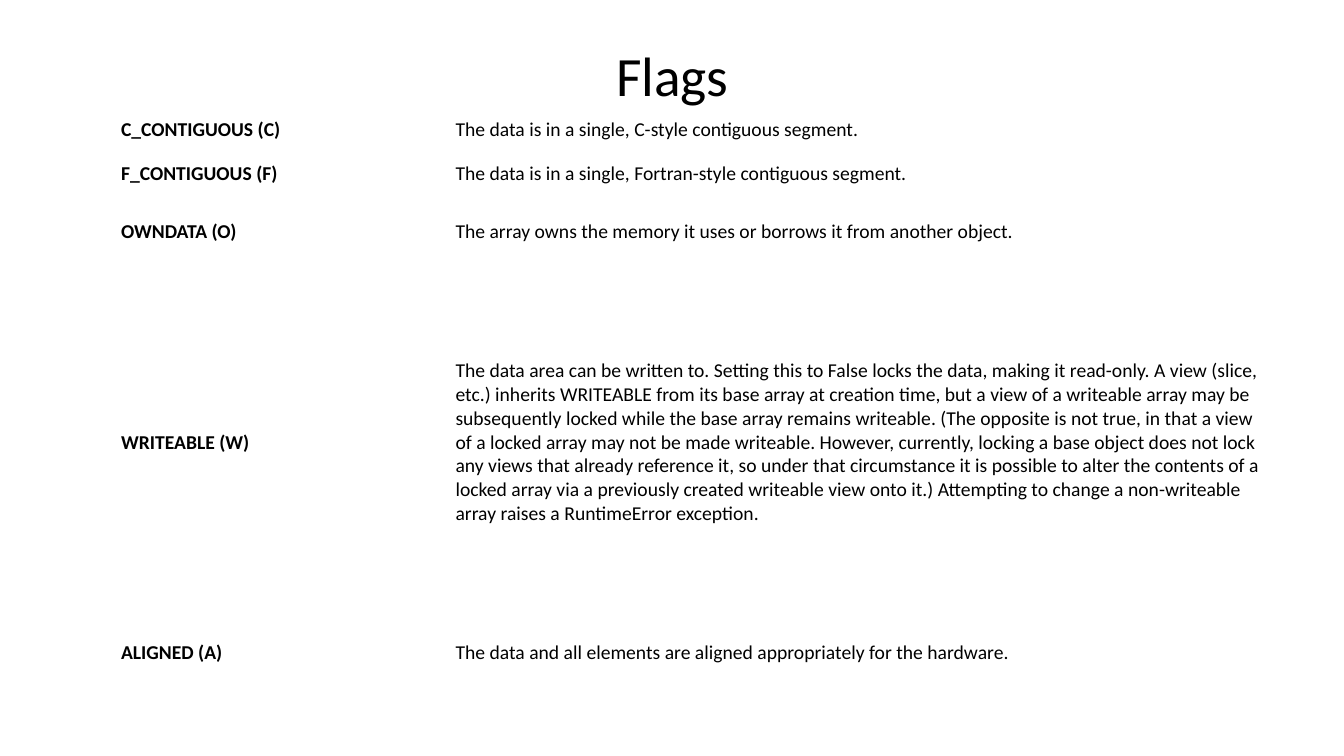
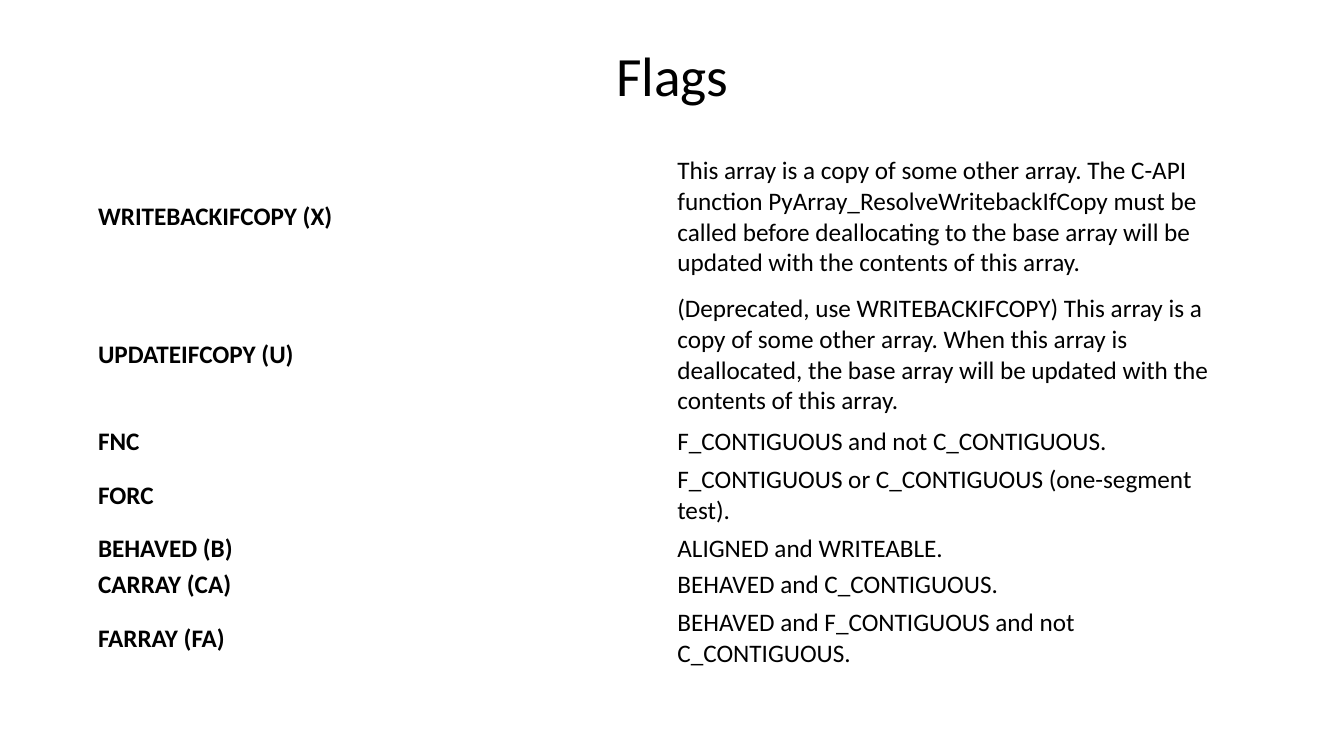
from dataclasses import dataclass

from pptx import Presentation
from pptx.dml.color import RGBColor
from pptx.enum.text import MSO_ANCHOR, PP_ALIGN
from pptx.util import Cm, Pt

MIDDLE = MSO_ANCHOR.MIDDLE
CENTER = PP_ALIGN.CENTER


@dataclass(frozen=True)
class Theme:
    font: str = "Calibri"
    text: RGBColor = RGBColor(0, 0, 0)
    background: RGBColor = RGBColor(255, 255, 255)
    title_size: float = 39.6


THEME = Theme()
BLANK_LAYOUT = 6
CELL_MARGIN_VERTICAL = 0.03

# Slide contents, lengths in centimetres
SLIDES = [
    {
        "title": "Flags",
        "position": (2.95, 2.9),
        "columns": (8.43, 20.68),
        "margins": (0.1, 0.15),
        "size": 14,
        "rows": [
            (0.76, "C_CONTIGUOUS (C)", "The data is in a single, C-style contiguous segment."),
            (1.45, "F_CONTIGUOUS (F)", "The data is in a single, Fortran-style contiguous segment."),
            (1.45, "OWNDATA (O)",
             "The array owns the memory it uses or borrows it from another object."),
            (9.17, "WRITEABLE (W)",
             "The data area can be written to. Setting this to False locks the data, "
             "making it read-only. A view (slice, etc.) inherits WRITEABLE from its base "
             "array at creation time, but a view of a writeable array may be subsequently "
             "locked while the base array remains writeable. (The opposite is not true, in "
             "that a view of a locked array may not be made writeable. However, currently, "
             "locking a base object does not lock any views that already reference it, so "
             "under that circumstance it is possible to alter the contents of a locked array "
             "via a previously created writeable view onto it.) Attempting to change a "
             "non-writeable array raises a RuntimeError exception."),
            (1.45, "ALIGNED (A)",
             "The data and all elements are aligned appropriately for the hardware."),
        ],
    },
    {
        "title": "Flags",
        "position": (2.34, 3.73),
        "columns": (14.6, 14.6),
        "margins": (0.13, 0.2),
        "size": 18,
        "rows": [
            (3.48, "WRITEBACKIFCOPY (X)",
             "This array is a copy of some other array. The C-API function "
             "PyArray_ResolveWritebackIfCopy must be called before deallocating to the base "
             "array will be updated with the contents of this array."),
            (3.48, "UPDATEIFCOPY (U)",
             "(Deprecated, use WRITEBACKIFCOPY) This array is a copy of some other array. "
             "When this array is deallocated, the base array will be updated with the "
             "contents of this array."),
            (0.91, "FNC", "F_CONTIGUOUS and not C_CONTIGUOUS."),
            (1.78, "FORC", "F_CONTIGUOUS or C_CONTIGUOUS (one-segment test)."),
            (0.91, "BEHAVED (B)", "ALIGNED and WRITEABLE."),
            (0.91, "CARRAY (CA)", "BEHAVED and C_CONTIGUOUS."),
            (1.78, "FARRAY (FA)", "BEHAVED and F_CONTIGUOUS and not C_CONTIGUOUS."),
        ],
    },
]


def write_text(text_frame, text, size, bold=False):
    """Fill a text frame with one paragraph in the theme font."""
    text_frame.text = text
    paragraph = text_frame.paragraphs[0]
    font = paragraph.runs[0].font
    font.name = THEME.font
    font.size = Pt(size)
    font.bold = bold
    font.color.rgb = THEME.text
    return paragraph


presentation = Presentation()
presentation.slide_width = Cm(33.87)
presentation.slide_height = Cm(19.05)

for content in SLIDES:
    slide = presentation.slides.add_slide(presentation.slide_layouts[BLANK_LAYOUT])

    # Title
    title = slide.shapes.add_textbox(Cm(2.34), Cm(1.02), Cm(29.21), Cm(1.9))
    title.text_frame.word_wrap = True
    title.text_frame.vertical_anchor = MIDDLE
    paragraph = write_text(title.text_frame, content["title"], THEME.title_size)
    paragraph.alignment = CENTER
    paragraph.line_spacing = 0.9

    # Table frame
    rows, columns = content["rows"], content["columns"]
    left, top = content["position"]
    height = sum(row[0] for row in rows)
    table = slide.shapes.add_table(
        len(rows), len(columns), Cm(left), Cm(top), Cm(sum(columns)), Cm(height)
    ).table
    table.first_row = False
    table.horz_banding = False
    for column, width in zip(table.columns, columns):
        column.width = Cm(width)

    # Flag names and descriptions
    margin_left, margin_right = content["margins"]
    for row, (row_height, *texts) in zip(table.rows, rows):
        row.height = Cm(row_height)
        for index, (cell, text) in enumerate(zip(row.cells, texts)):
            cell.fill.solid()
            cell.fill.fore_color.rgb = THEME.background
            cell.vertical_anchor = MIDDLE
            cell.margin_left = Cm(margin_left)
            cell.margin_right = Cm(margin_right)
            cell.margin_top = cell.margin_bottom = Cm(CELL_MARGIN_VERTICAL)
            write_text(cell.text_frame, text, content["size"], bold=index == 0)

presentation.save("out.pptx")
